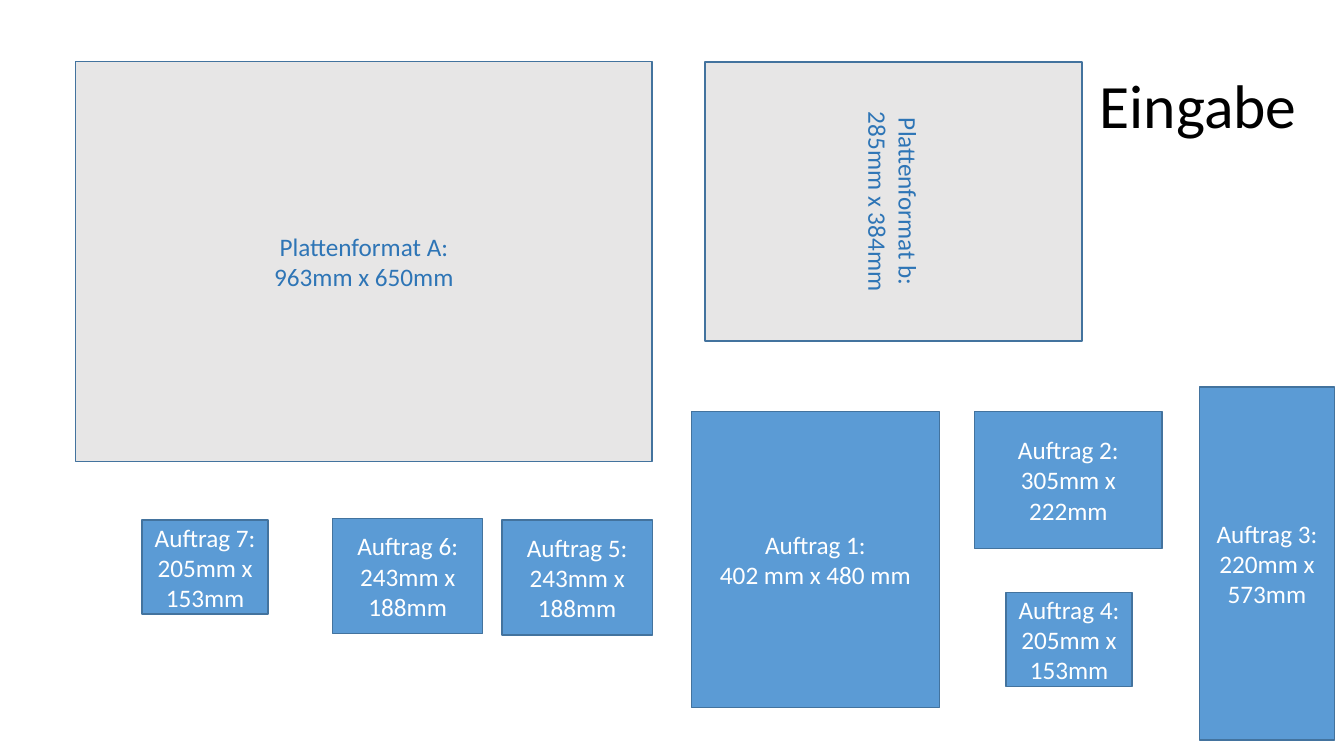
from pptx import Presentation
from pptx.dml.color import RGBColor
from pptx.enum.shapes import MSO_SHAPE
from pptx.enum.text import MSO_ANCHOR, MSO_AUTO_SIZE, PP_ALIGN
from pptx.util import Pt

COLORS = {
    "plate": "E7E6E6",
    "plate_text": "2E75B6",
    "order": "5B9BD5",
    "order_text": "FFFFFF",
    "outline": "43739E",
    "title": "000000",
}

ORDERS = [
    ("402 mm x 480 mm", 493.9, 293.8, 177.1, 211.7),
    ("305mm x 222mm", 696.2, 293.8, 133.9, 97.9),
    ("220mm x 573mm", 856.8, 276.5, 96.5, 252),
    ("205mm x 153mm", 718.6, 423.1, 90, 67.2),
    ("243mm x 188mm", 358.6, 371.5, 107.3, 82.1),
    ("243mm x 188mm", 237.6, 370.4, 107.3, 82.1),
    ("205mm x 153mm", 101.5, 371.5, 90, 67.2),
]


class SlideBuilder:
    font_name = "Calibri"
    label_size = 18
    title_size = 44

    def __init__(self, presentation):
        self.slide = presentation.slides.add_slide(presentation.slide_layouts[5])

    def color(self, name):
        return RGBColor.from_string(COLORS[name])

    def format_paragraph(self, paragraph, size, color, alignment):
        paragraph.alignment = alignment
        paragraph.font.name = self.font_name
        paragraph.font.size = Pt(size)
        paragraph.font.color.rgb = self.color(color)

    def title(self, text, left, top, width, height):
        shape = self.slide.shapes.title
        shape.left, shape.top = Pt(left), Pt(top)
        shape.width, shape.height = Pt(width), Pt(height)
        frame = shape.text_frame
        frame.text = text
        frame.word_wrap = False
        frame.auto_size = MSO_AUTO_SIZE.SHAPE_TO_FIT_TEXT
        frame.vertical_anchor = MSO_ANCHOR.TOP
        self.format_paragraph(frame.paragraphs[0], self.title_size, "title", PP_ALIGN.LEFT)

    def panel(self, kind, name, dimensions, left, top, width, height, rotation=0):
        shape = self.slide.shapes.add_shape(
            MSO_SHAPE.RECTANGLE, Pt(left), Pt(top), Pt(width), Pt(height)
        )
        shape.rotation = rotation
        shape.shadow.inherit = False
        shape.fill.solid()
        shape.fill.fore_color.rgb = self.color(kind)
        shape.line.color.rgb = self.color("outline")
        shape.line.width = Pt(1)
        frame = shape.text_frame
        frame.text = f"{name}:\n{dimensions}"
        frame.word_wrap = True
        frame.vertical_anchor = MSO_ANCHOR.MIDDLE
        for paragraph in frame.paragraphs:
            self.format_paragraph(paragraph, self.label_size, f"{kind}_text", PP_ALIGN.CENTER)


def main():
    presentation = Presentation()
    presentation.slide_width = Pt(960)
    presentation.slide_height = Pt(540)
    builder = SlideBuilder(presentation)
    builder.title("Eingabe", 778.3, 43.9, 157, 60.5)
    builder.panel("plate", "Plattenformat A", "963mm x 650mm", 54, 43.9, 411.8, 285.8)
    builder.panel(
        "plate", "Plattenformat b", "285mm x 384mm", 538.6, 9.4, 199.4, 269.3, rotation=90
    )
    for number, (dimensions, *bounds) in enumerate(ORDERS, start=1):
        builder.panel("order", f"Auftrag {number}", dimensions, *bounds)
    presentation.save("out.pptx")


if __name__ == "__main__":
    main()
